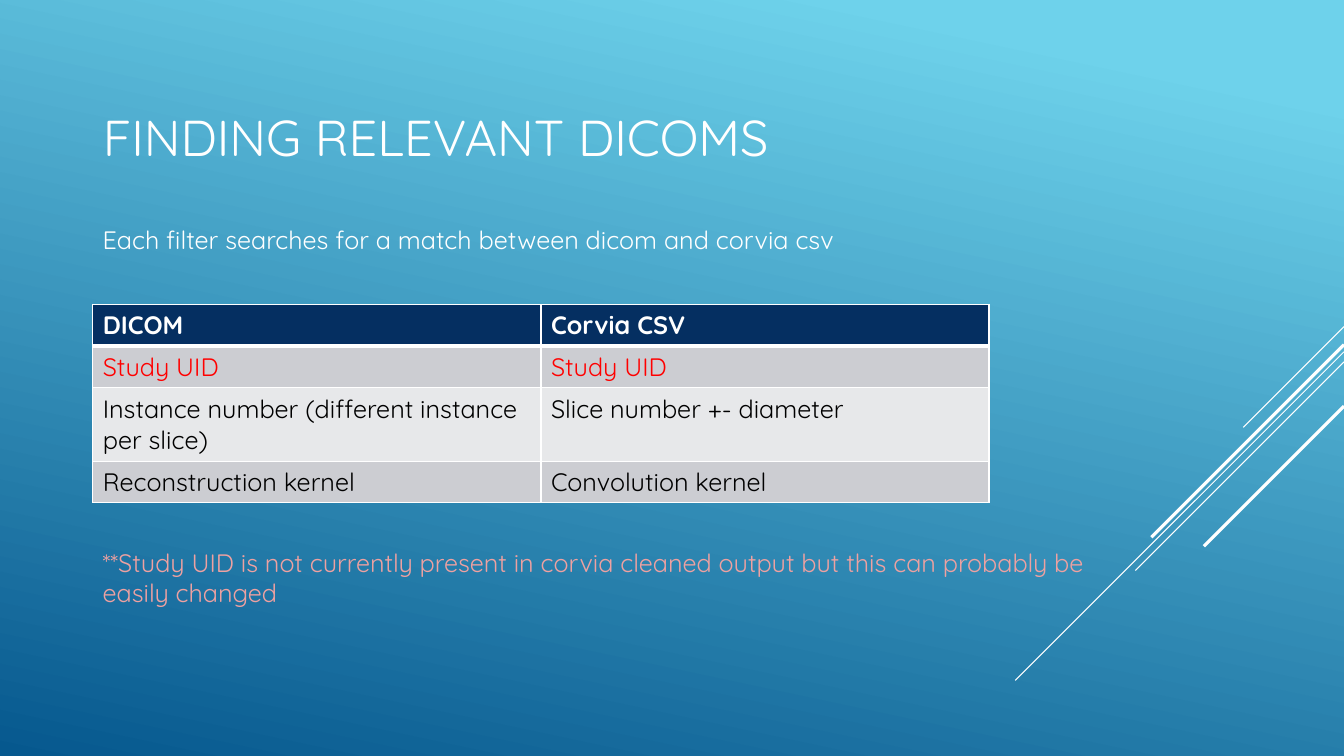
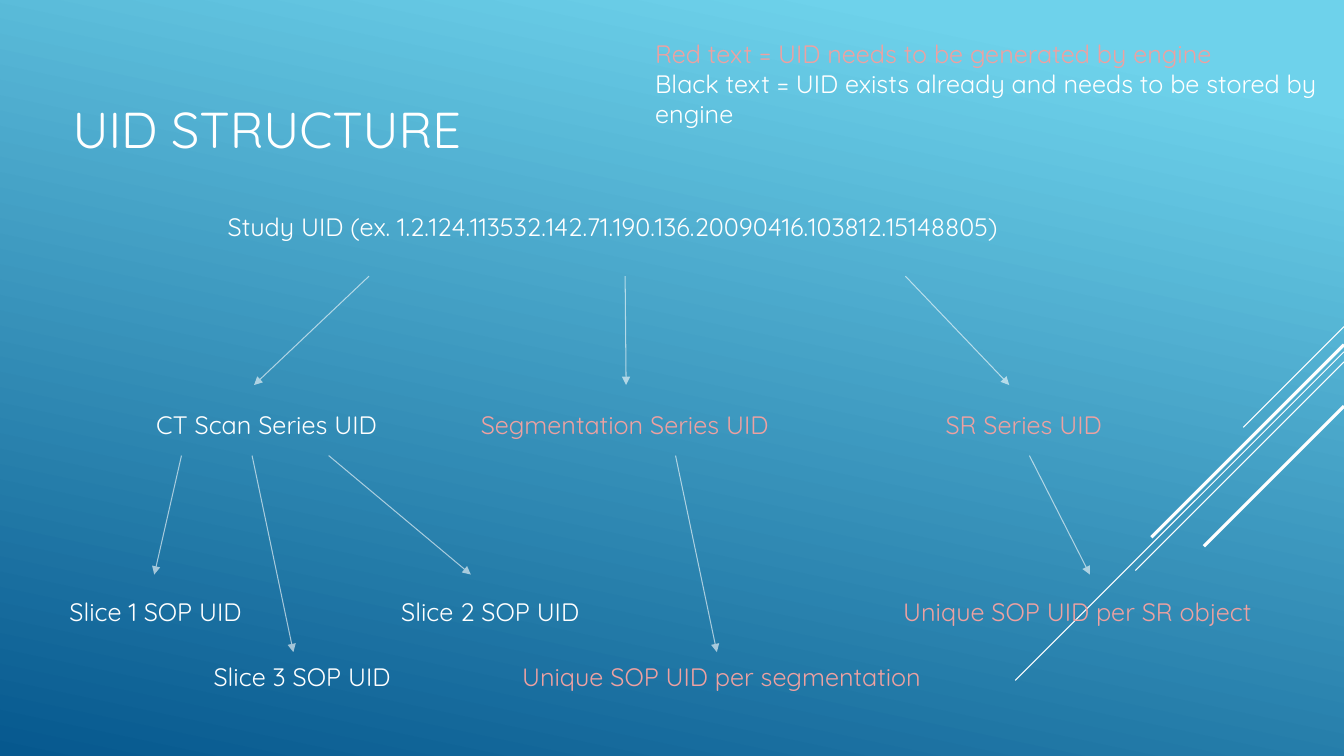
from lxml import etree
from pptx import Presentation, util as u
from pptx.dml.color import RGBColor
from pptx.enum import shapes, text
from pptx.oxml import ns

Inches = u.Inches

# Theme: colours, type and line sizes
theme = {
    "font": "Quicksand",
    "title": 36, "body": 18,
    "thin": 0.75, "thick": 2.25, "rule": 1, "heavy": 3,
    "white": "FFFFFF", "black": "000000", "red": "FF0000", "pink": "EEA1A1",
    "sky": "6ED2EB", "deep": "06588E",
    "navy": "052F61", "gray": "CCCDD2", "pale": "E7E8EA",
}


def write(frame, lines, size="body", bold=False):
    """Fill a text frame with (text, colour) lines."""
    form = {"word_wrap": True, "auto_size": text.MSO_AUTO_SIZE.NONE}
    for key, val in form.items():
        setattr(frame, key, val)
    for i, (words, tint) in enumerate(lines):
        para = frame.paragraphs[0] if i == 0 else frame.add_paragraph()
        para.alignment = text.PP_ALIGN.LEFT
        run = para.add_run()
        run.text = words
        face = {"name": theme["font"], "size": u.Pt(theme[size]), "bold": bold}
        for key, val in face.items():
            setattr(run.font, key, val)
        run.font.color.rgb = RGBColor.from_string(theme[tint])


def draw(slide, ends, width, arrow=False):
    """Draw a white line; an arrow is also see-through."""
    link = slide.shapes.add_connector(
        shapes.MSO_CONNECTOR.STRAIGHT, *[Inches(n) for n in ends])
    link.line.width = u.Pt(theme[width])
    link.line.color.rgb = RGBColor.from_string(theme["white"])
    props = link.element.spPr
    etree.SubElement(props, ns.qn("a:effectLst"))
    if arrow:
        edge = props.find(ns.qn("a:ln"))
        tint = edge.find(".//" + ns.qn("a:srgbClr"))
        etree.SubElement(tint, ns.qn("a:alpha"), val="60000")
        etree.SubElement(edge, ns.qn("a:tailEnd"), type="triangle")


deck = Presentation()
deck.slide_width, deck.slide_height = Inches(13.33), Inches(7.5)

# Shared background
fill = deck.slide_master.background.fill
fill.gradient()
fill.gradient_angle = 258
for stop, (spot, tint) in zip(fill.gradient_stops, [(0.1, "sky"), (1, "deep")]):
    stop.position = spot
    stop.color.rgb = RGBColor.from_string(theme[tint])

# Diagonal lines: top at the right edge, drop at 45 degrees, width
rays = [(3.24, 1, "thin"), (3.49, 3.26, "thin"), (3.59, 2.07, "thin"),
        (3.42, 1.91, "thick"), (4.03, 1.39, "thick")]

# Both slides: rays and title
heads = [("FINDING RELEVANT DICOMS", (0.92, 0.53, 9.33, 1.65)),
         ("UID STRUCTURE", (0.62, 0.74, 4.32, 1.07))]
pages = []
for name, area in heads:
    page = deck.slides.add_slide(deck.slide_layouts[5])
    for top, drop, width in rays:
        draw(page, (13.33, top, 13.33 - drop, top + drop), width)
    title = page.shapes.title
    for key, val in zip(("left", "top", "width", "height"), area):
        setattr(title, key, Inches(val))
    title.text_frame.vertical_anchor = text.MSO_ANCHOR.MIDDLE
    write(title.text_frame, [(name, "white")], "title")
    pages.append(page)
match, tree = pages

# Text boxes: slide, place, lines
series, upper, lower = 4.01, 5.87, 6.51
boxes = [
    (match, (0.92, 2.18, 10.54, 0.4),
     [("Each filter searches for a match between dicom and corvia csv", "white")]),
    (match, (0.92, 5.38, 10.54, 0.7),
     [("**Study UID is not currently present in corvia cleaned output "
       "but this can probably be easily changed", "pink")]),
    (tree, (6.4, 0.33, 6.83, 1.01),
     [("Red text = UID needs to be generated by engine", "pink"),
      ("Black text = UID exists already and needs to be stored by engine", "white")]),
    (tree, (2.16, 2.05, 8.95, 0.4),
     [("Study UID (ex. 1.2.124.113532.142.71.190.136.20090416.103812.15148805)",
       "white")]),
]
nodes = [
    (1.45, series, 2.51, "CT Scan Series UID", "white"),
    (4.67, series, 3.45, "Segmentation Series UID", "pink"),
    (9.28, series, 2.02, "SR Series UID", "pink"),
    (0.59, upper, 2.14, "Slice 1 SOP UID", "white"),
    (2.02, lower, 2.14, "Slice 3 SOP UID", "white"),
    (3.88, upper, 2.32, "Slice 2 SOP UID", "white"),
    (5.08, lower, 4.33, "Unique SOP UID per segmentation", "pink"),
    (8.86, upper, 4.06, "Unique SOP UID per SR object", "pink"),
]
boxes += [(tree, (x, y, w, 0.4), [(words, tint)]) for x, y, w, words, tint in nodes]
for page, area, lines in boxes:
    box = page.shapes.add_textbox(*[Inches(n) for n in area])
    write(box.text_frame, lines)

# Tree arrows: start and end across, for each pair of levels
levels = [
    (2.74, 3.82, [(3.66, 2.52), (6.2, 6.21), (8.98, 10.01)]),
    (4.52, 5.7, [(1.8, 1.53), (3.26, 4.67), (10.21, 10.81)]),
    (4.52, 6.47, [(2.5, 2.91), (6.7, 7.11)]),
]
for top, base, spans in levels:
    for start, end in spans:
        draw(tree, (start, top, end, base), "thin", arrow=True)

# Table: cells, fill, text colour and height of each row
rows = [
    (("DICOM", "Corvia CSV"), "navy", "white", 0.41),
    (("Study UID", "Study UID"), "gray", "red", 0.41),
    (("Instance number (different instance per slice)",
      "Slice number +- diameter"), "pale", "black", 0.69),
    (("Reconstruction kernel", "Convolution kernel"), "gray", "black", 0.41),
]
grid = match.shapes.add_table(
    len(rows), 2, Inches(0.92), Inches(3.02), Inches(8.89), Inches(1.92)).table
for r, (words, shade, tint, height) in enumerate(rows):
    grid.rows[r].height = Inches(height)
    for c, word in enumerate(words):
        cell = grid.cell(r, c)
        write(cell.text_frame, [(word, tint)], bold=r == 0)
        # Borders come before the fill in the cell XML
        props = cell._tc.get_or_add_tcPr()
        for side in "LRTB":
            heavy = (r, side) in ((0, "B"), (1, "T"))
            size = u.Pt(theme["heavy" if heavy else "rule"])
            edge = etree.SubElement(props, ns.qn("a:ln" + side), w=str(int(size)))
            paint = etree.SubElement(edge, ns.qn("a:solidFill"))
            etree.SubElement(paint, ns.qn("a:srgbClr"), val=theme["white"])
        cell.fill.solid()
        cell.fill.fore_color.rgb = RGBColor.from_string(theme[shade])

deck.save("out.pptx")
